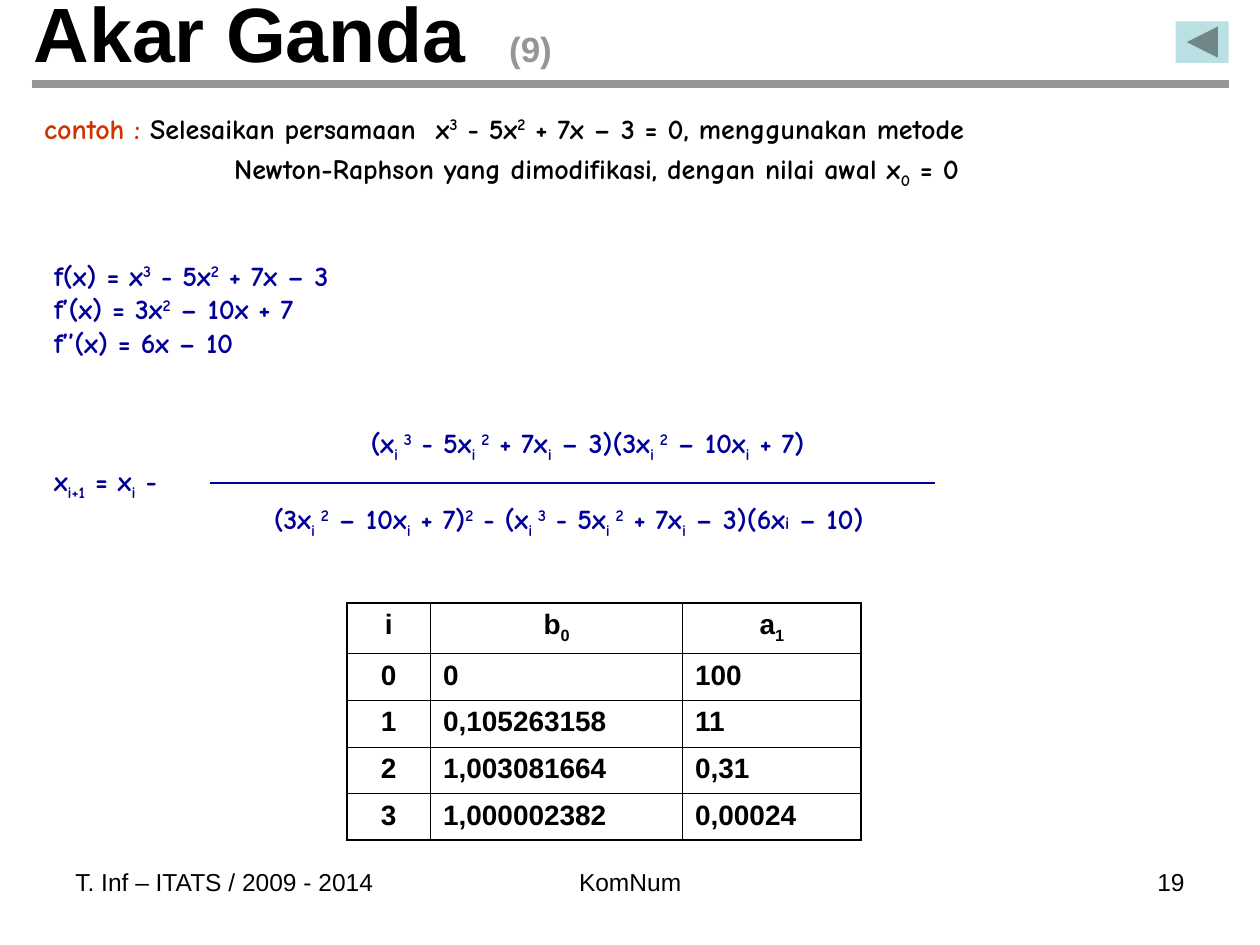
from lxml import etree
from pptx import Presentation
from pptx.dml.color import RGBColor
from pptx.enum.shapes import MSO_CONNECTOR, MSO_SHAPE
from pptx.enum.text import MSO_ANCHOR, PP_ALIGN as Align
from pptx.oxml.ns import qn
from pptx.util import Cm, Pt

BLACK, GRAY, RED, NAVY, TEAL = "000000", "969696", "CC3300", "000099", "BBE0E3"
SANS, COMIC = "Arial", "Comic Neue"

# Content: ^..^ is superscript, _.._ subscript, ~..~ small text
TITLE = [("Akar Ganda  ", 44, BLACK), ("(9)", 20, GRAY)]
PROBLEM = [  # (left indent in cm, [(text, colour)])
    (0, [("contoh :", RED),
         (" Selesaikan persamaan  x^3^ - 5x^2^ + 7x – 3 = 0, menggunakan metode", BLACK)]),
    (3.83, [("Newton-Raphson yang dimodifikasi, dengan nilai awal x_0_ = 0", BLACK)]),
]
FORMULAS = [  # (left indent in cm, space before in points, text)
    (0, 0, "f(x) = x^3^ - 5x^2^ + 7x – 3"),
    (0, 0, "f’(x) = 3x^2^ – 10x + 7"),
    (0, 0, "f’’(x) = 6x – 10"),
    (6.38, 38, "(x_i _^3^ - 5x_i _^2^ + 7x_i_ – 3)(3x_i _^2^ – 10x_i_ + 7)"),
    (0, 0, "x_i+1_ = x_i_ -"),
    (4.43, 0, "(3x_i _^2^ – 10x_i_ + 7)^2^ - (x_i _^3^ - 5x_i _^2^ + 7x_i_ – 3)(6x~i~ – 10)"),
]
TABLE = [
    ("i", "b_0_", "a_1_"),
    ("0", "0", "100"),
    ("1", "0,105263158", "11"),
    ("2", "1,003081664", "0,31"),
    ("3", "1,000002382", "0,00024"),
]
COLUMN_WIDTHS = (1.69, 5.08, 3.6)
HEADER_HEIGHT, ROW_HEIGHT = 1.03, 0.94
FOOTERS = [  # (left, width, alignment, text)
    (1.27, 6.99, Align.LEFT, "T. Inf – ITATS / 2009 - 2014"),
    (8.68, 8.05, Align.CENTER, "KomNum"),
    (18.2, 5.93, Align.RIGHT, "19"),
]
BASELINES = {"^": "30000", "_": "-25000"}


def rgb(value):
    return RGBColor.from_string(value)


def split_markup(text):
    """Return (text, mode) pieces, where mode is a marker or None."""
    pieces, current, mode = [], "", None
    for letter in text:
        if letter in "^_~":
            if current:
                pieces.append((current, mode))
            current, mode = "", None if mode == letter else letter
        else:
            current += letter
    return pieces + [(current, mode)] if current else pieces


def add_runs(paragraph, text, size, color=BLACK, font=SANS, bold=True):
    for piece, mode in split_markup(text):
        run = paragraph.add_run()
        run.text = piece
        run.font.name, run.font.bold = font, bold
        run.font.size = Pt(10 if mode == "~" else size)
        run.font.color.rgb = rgb(color)
        if mode in BASELINES:
            run.font._element.set("baseline", BASELINES[mode])


def add_text_frame(slide, left, top, width, height):
    frame = slide.shapes.add_textbox(Cm(left), Cm(top), Cm(width), Cm(height)).text_frame
    frame.word_wrap = True
    return frame


def add_paragraph(frame, index, indent=0, before=0):
    paragraph = frame.add_paragraph() if index else frame.paragraphs[0]
    paragraph.space_before = Pt(before)
    if indent:
        paragraph._p.get_or_add_pPr().set("marL", str(Cm(indent)))
    return paragraph


def add_line(slide, left, right, y, color, width):
    line = slide.shapes.add_connector(MSO_CONNECTOR.STRAIGHT, Cm(left), Cm(y), Cm(right), Cm(y))
    line.line.color.rgb = rgb(color)
    line.line.width = Pt(width)
    etree.SubElement(line._element.spPr, qn("a:effectLst"))


def set_borders(cell, widths):
    properties = cell._tc.get_or_add_tcPr()
    for index, (side, width) in enumerate(zip("LRTB", widths)):
        border = etree.Element(qn(f"a:ln{side}"), w=str(Pt(width)))
        fill = etree.SubElement(border, qn("a:solidFill"))
        etree.SubElement(fill, qn("a:srgbClr"), val=BLACK)
        properties.insert(index, border)


def add_results_table(slide):
    rows, columns = len(TABLE), len(COLUMN_WIDTHS)
    height = HEADER_HEIGHT + ROW_HEIGHT * (rows - 1)
    table = slide.shapes.add_table(rows, columns, Cm(6.99), Cm(12.15),
                                   Cm(sum(COLUMN_WIDTHS)), Cm(height)).table
    table.first_row = table.horz_banding = False
    for column, width in zip(table.columns, COLUMN_WIDTHS):
        column.width = Cm(width)
    for r, values in enumerate(TABLE):
        table.rows[r].height = Cm(ROW_HEIGHT if r else HEADER_HEIGHT)
        for c, value in enumerate(values):
            cell = table.cell(r, c)
            cell.fill.background()
            paragraph = add_paragraph(cell.text_frame, 0, before=4)
            paragraph.alignment = Align.CENTER if r == 0 or c == 0 else Align.LEFT
            add_runs(paragraph, value, 16)
            outer = (c == 0, c == columns - 1, r == 0, r == rows - 1)
            set_borders(cell, [1.08 if edge else 0.45 for edge in outer])


def main():
    presentation = Presentation()
    presentation.slide_width, presentation.slide_height = Cm(25.4), Cm(19.05)
    slide = presentation.slides.add_slide(presentation.slide_layouts[6])

    # Title and rule
    frame = add_text_frame(slide, 0.43, 0, 22.86, 1.27)
    frame.vertical_anchor = MSO_ANCHOR.MIDDLE
    for text, size, color in TITLE:
        add_runs(frame.paragraphs[0], text, size, color)
    add_line(slide, 0.64, 24.77, 1.69, GRAY, 4.5)

    # Back button
    button = slide.shapes.add_shape(MSO_SHAPE.ACTION_BUTTON_BACK_OR_PREVIOUS,
                                    Cm(23.7), Cm(0.43), Cm(1.07), Cm(0.84))
    button.shadow.inherit = False
    button.fill.solid()
    button.fill.fore_color.rgb = rgb(TEAL)
    button.line.fill.background()

    # Problem statement
    frame = add_text_frame(slide, 0.64, 2.12, 24.13, 1.9)
    for index, (indent, parts) in enumerate(PROBLEM):
        paragraph = add_paragraph(frame, index, indent, before=4)
        for text, color in parts:
            add_runs(paragraph, text, 16, color, COMIC)

    # Derivatives and iteration formula with its fraction bar
    frame = add_text_frame(slide, 0.84, 5.08, 23.5, 5.92)
    for index, (indent, before, text) in enumerate(FORMULAS):
        add_runs(add_paragraph(frame, index, indent, before), text, 16, NAVY, COMIC)
    add_line(slide, 4.23, 18.84, 9.74, NAVY, 1.5)

    add_results_table(slide)

    # Footer
    for left, width, alignment, text in FOOTERS:
        paragraph = add_text_frame(slide, left, 17.35, width, 1.32).paragraphs[0]
        paragraph.alignment = alignment
        add_runs(paragraph, text, 14, bold=False)

    presentation.save("out.pptx")


if __name__ == "__main__":
    main()
